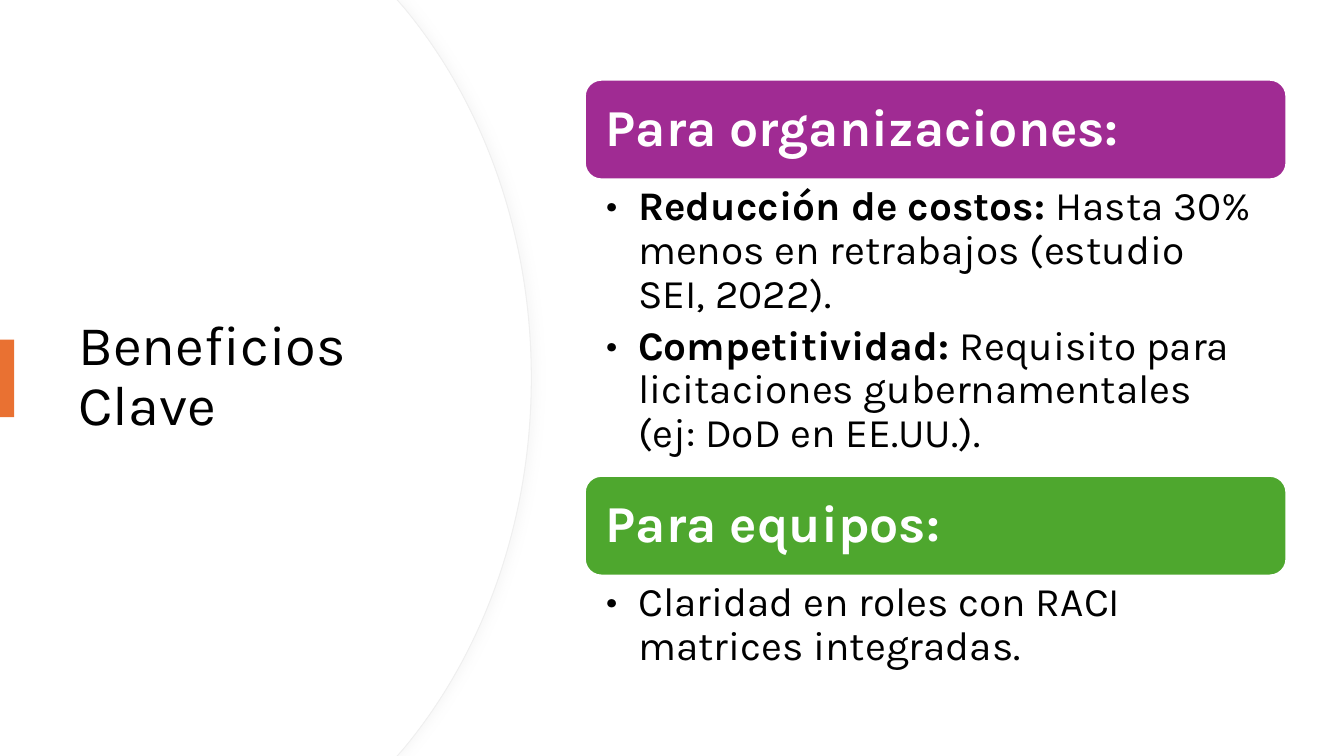
from lxml import etree
from pptx import Presentation
from pptx.dml.color import RGBColor
from pptx.enum import shapes, text
from pptx.oxml import parse_xml
from pptx.oxml.ns import nsdecls, qn
from pptx.util import Inches, Pt


def paint(shape, fill, line=None, width=0):
    shape.shadow.inherit = False
    shape.fill.solid()
    shape.fill.fore_color.rgb = RGBColor.from_string(fill)
    if line:
        shape.line.color.rgb = RGBColor.from_string(line)
        shape.line.width = Pt(width)
    else:
        shape.line.fill.background()


def style(para, size, color, bold=None):
    para.alignment = text.PP_ALIGN.LEFT
    para.line_spacing = 0.9
    para.font.name = "Karla"
    para.font.size = Pt(size)
    para.font.bold = bold
    para.font.color.rgb = RGBColor.from_string(color)


deck = Presentation()
deck.slide_width = Inches(13.33)
deck.slide_height = Inches(7.5)
slide = deck.slides.add_slide(deck.slide_layouts[6])
items = slide.shapes

edge = [
    (3.94, 0), (4.01, 0.08),
    (4.79, 1.02), (5.27, 2.32), (5.27, 3.75),
    (5.27, 5.18), (4.79, 6.48), (4.01, 7.42),
    (3.94, 7.5), (0, 7.5),
]

for shift, line in [(0, "EFEFEF"), (0.01, None)]:
    pen = items.build_freeform(0, 0, scale=1.0)
    pen.add_line_segments(
        [(Inches(max(x - shift, 0)), Inches(y)) for x, y in edge], close=True)
    panel = pen.convert_to_shape()
    paint(panel, "FFFFFF", line, 0.75)
    lines = list(panel._element.iter(qn("a:lnTo")))
    for start in (2, 5):
        curve = etree.Element(qn("a:cubicBezTo"))
        lines[start].addprevious(curve)
        for step in lines[start:start + 3]:
            curve.append(step[0])
            step.getparent().remove(step)
    if line:
        panel._element.spPr.find(qn("a:effectLst")).append(parse_xml(
            f'<a:outerShdw {nsdecls("a")} blurRad="{Pt(7)}" dist="{Pt(3)}" dir="0">'
            '<a:srgbClr val="D9D9D9"><a:alpha val="20000"/></a:srgbClr></a:outerShdw>'))

title = items.add_textbox(Inches(0.68), Inches(1.27), Inches(3.94), Inches(4.95))
frame = title.text_frame
frame.word_wrap = True
frame.vertical_anchor = text.MSO_ANCHOR.MIDDLE
frame.text = "Beneficios Clave"
style(frame.paragraphs[0], 40, "000000")

mark = items.add_shape(
    shapes.MSO_SHAPE.RECTANGLE, 0, Inches(3.37), Inches(0.14), Inches(0.77))
paint(mark, "E97132")

groups = [
    ("Para organizaciones:", "A02B93", 0.79, 2.93, [
        ("Reducción de costos:", " Hasta 30% menos en retrabajos (estudio SEI, 2022)."),
        ("Competitividad:", " Requisito para licitaciones gubernamentales (ej: DoD en EE.UU.)."),
    ]),
    ("Para equipos:", "4EA72E", 4.72, 1.01, [
        ("", "Claridad en roles con RACI matrices integradas."),
    ]),
]
left, width, head = Inches(5.8), Inches(6.96), Inches(0.99)

for name, color, top, height, points in groups:
    bar = items.add_shape(
        shapes.MSO_SHAPE.ROUNDED_RECTANGLE, left, Inches(top), width, head)
    paint(bar, color, "FFFFFF", 1.5)
    frame = bar.text_frame
    frame.word_wrap = True
    frame.vertical_anchor = text.MSO_ANCHOR.MIDDLE
    frame.margin_left = frame.margin_right = Inches(0.16)
    frame.text = name
    style(frame.paragraphs[0], 37, "FFFFFF", True)

    body = items.add_textbox(left, Inches(top + 1), width, Inches(height))
    frame = body.text_frame
    frame.word_wrap = True
    frame.margin_left, frame.margin_right = Inches(0.22), Inches(0.29)
    for i, (term, rest) in enumerate(points):
        para = frame.add_paragraph() if i else frame.paragraphs[0]
        style(para, 29, "000000")
        para.space_after = Pt(5.8)
        if term:
            run = para.add_run()
            run.text = term
            run.font.bold = True
        para.add_run().text = rest
        props = para._p.get_or_add_pPr()
        props.set("marL", str(Inches(0.31)))
        props.set("indent", str(-Inches(0.31)))
        base = props.find(qn("a:defRPr"))
        base.addprevious(etree.Element(qn("a:buFont"), typeface="Karla"))
        base.addprevious(etree.Element(qn("a:buChar"), char="•"))

deck.save("out.pptx")
